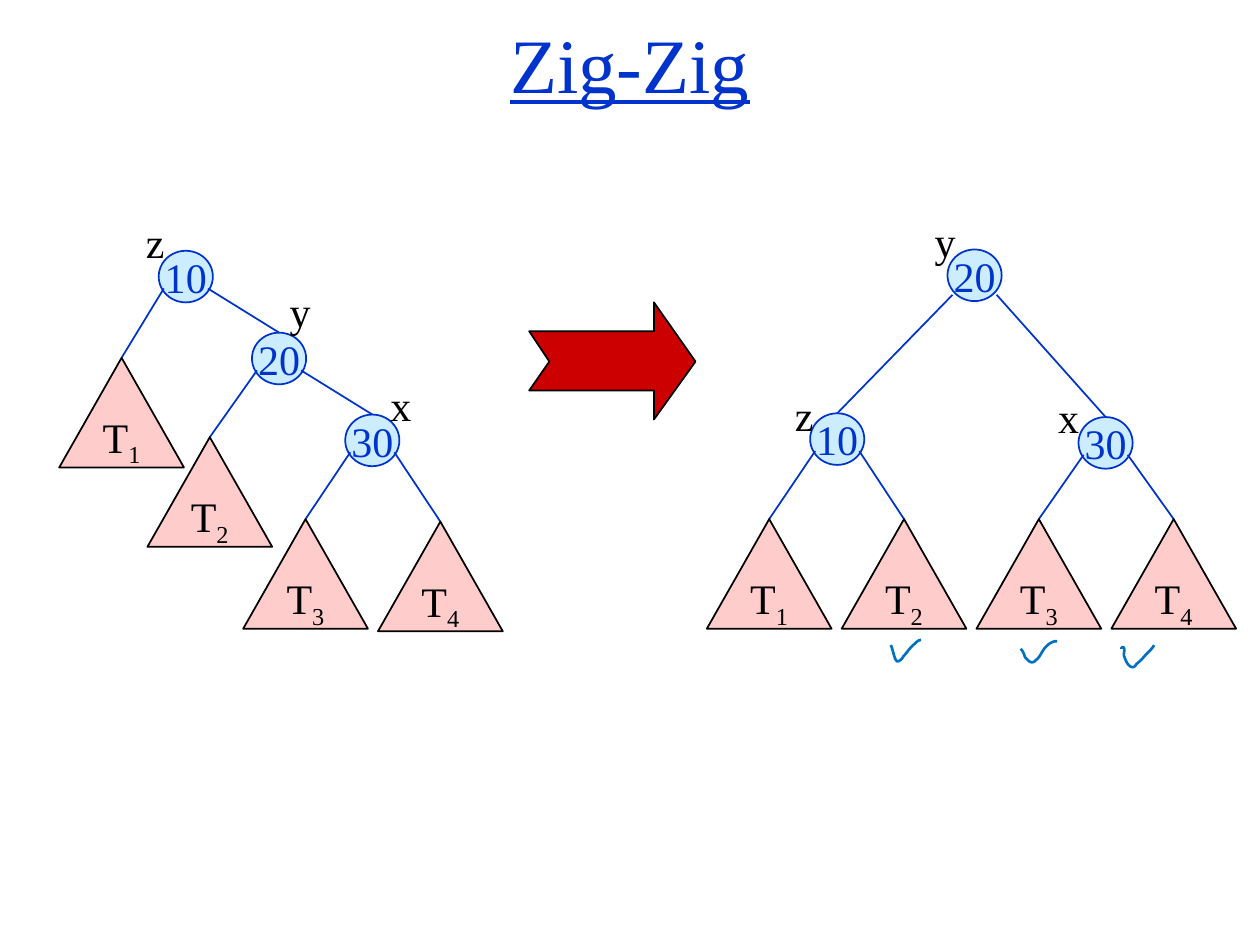
"""Build the Zig-Zig rotation slide with the tree before and after."""
import pptx
import pptx.util
import pptx.dml.color
import pptx.enum.shapes
import pptx.enum.text
import pptx.oxml.ns
import lxml.etree

SHAPES = pptx.enum.shapes.MSO_SHAPE
ANCHOR = pptx.enum.text.MSO_ANCHOR
ALIGN = pptx.enum.text.PP_ALIGN
BLUE, BLACK, SKY, PINK, RED, INK = "0033CC", "000000", "CCECFF", "FFCCCC", "CC0000", "0070C0"
NODE, LEAF, LABEL = (0.43, 0.41), (0.99, 0.87), (0.36, 0.5)
FOOT_INSET, FOOT_DROP, ROOT_DROP = 0.04, 0.3, 0.36
LEAF_STEP, LEAF_ROW = 1.07, 4.12
CHAIN_X, CHAIN_Y, CHAIN_DX, CHAIN_DY = 1.26, 1.99, 0.74, 0.65

TITLE = "Zig-Zig"
BEFORE = {
    "nodes": {
        name: (number, CHAIN_X + level * CHAIN_DX, CHAIN_Y + level * CHAIN_DY, FOOT_DROP)
        for level, (name, number) in enumerate([("z", "10"), ("y", "20"), ("x", "30")])
    },
    "leaves": {"1": (0.47, 2.84), "2": (1.17, 3.47), "3": (1.93, 4.12), "4": (3, 4.14)},
    "children": {"z": "1y", "y": "2x", "x": "34"},
    "labels": {"z": (1.06, 1.67), "y": (2.2, 2.22), "x": (3, 2.96)},
}
AFTER = {
    "nodes": {
        "y": ("20", 7.52, 1.98, ROOT_DROP),
        "z": ("10", 6.43, 3.28, FOOT_DROP),
        "x": ("30", 8.56, 3.31, FOOT_DROP),
    },
    "leaves": {str(i + 1): (5.61 + i * LEAF_STEP, LEAF_ROW) for i in range(4)},
    "children": {"y": "zx", "z": "12", "x": "34"},
    "labels": {"y": (7.32, 1.66), "z": (6.21, 3.04), "x": (8.3, 3.06)},
}
ARROW = [(4.2, 2.63), (5.19, 2.63), (5.19, 2.4), (5.52, 2.87), (5.19, 3.33),
         (5.19, 3.1), (4.2, 3.1), (4.36, 2.87)]
CHECKS = [
    [(7.07, 5.12), (7.08, 5.14), (7.08, 5.15), (7.09, 5.18), (7.1, 5.21), (7.1, 5.23),
     (7.12, 5.25), (7.14, 5.25), (7.16, 5.23), (7.17, 5.21), (7.2, 5.18), (7.22, 5.14),
     (7.26, 5.11), (7.28, 5.09), (7.29, 5.08), (7.31, 5.08)],
    [(8.1, 5.15), (8.11, 5.16), (8.12, 5.17), (8.13, 5.2), (8.13, 5.22), (8.16, 5.24),
     (8.17, 5.25), (8.18, 5.26), (8.21, 5.26), (8.22, 5.24), (8.25, 5.22), (8.26, 5.19),
     (8.28, 5.16), (8.3, 5.13), (8.33, 5.1), (8.37, 5.09), (8.38, 5.09), (8.38, 5.09),
     (8.39, 5.09)],
    [(8.9, 5.15), (8.9, 5.14), (8.91, 5.13), (8.92, 5.14), (8.93, 5.16), (8.92, 5.17),
     (8.92, 5.2), (8.93, 5.23), (8.94, 5.26), (8.96, 5.28), (8.99, 5.31), (9.01, 5.29),
     (9.02, 5.27), (9.06, 5.24), (9.08, 5.21), (9.11, 5.18), (9.14, 5.15), (9.15, 5.14),
     (9.16, 5.12)],
]


def color(value):
    return pptx.dml.color.RGBColor.from_string(value)


def inches(*values):
    return [pptx.util.Inches(value) for value in values]


def set_all(target, formats):
    for name, value in formats.items():
        setattr(target, name, value)


def paint(shape, fill, line, width=1):
    shape.shadow.inherit = False
    if fill:
        shape.fill.solid()
        shape.fill.fore_color.rgb = color(fill)
    else:
        shape.fill.background()
    shape.line.color.rgb = color(line)
    shape.line.width = pptx.util.Pt(width)


def write(shape, text, ink, subscript="", size=24, align=ALIGN.CENTER, underline=None, **frame):
    set_all(shape.text_frame, {"word_wrap": False, "vertical_anchor": ANCHOR.MIDDLE, **frame})
    paragraph = shape.text_frame.paragraphs[0]
    paragraph.alignment = align
    for part in filter(None, (text, subscript)):
        run = paragraph.add_run()
        run.text = part
        set_all(run.font, {"name": "Times New Roman", "size": pptx.util.Pt(size),
                           "underline": underline})
        run.font.color.rgb = color(ink)
    if subscript:
        run.font._element.set("baseline", "-25000")


def add_edge(slide, start, end):
    edge = slide.shapes.add_connector(
        pptx.enum.shapes.MSO_CONNECTOR.STRAIGHT, *inches(*start, *end))
    edge.line.color.rgb = color(BLUE)
    edge.line.width = pptx.util.Pt(1)
    lxml.etree.SubElement(edge._element.spPr, pptx.oxml.ns.qn("a:effectLst"))


def add_outline(slide, points, close, fill, line, width):
    start, *rest = [inches(*point) for point in points]
    builder = slide.shapes.build_freeform(*start)
    builder.add_line_segments(rest, close=close)
    paint(builder.convert_to_shape(), fill, line, width)


def curve_points(controls, steps=6):
    points = [controls[0]]
    for i in range(0, len(controls) - 1, 3):
        for t in (step / steps for step in range(1, steps + 1)):
            weights = ((1 - t) ** 3, 3 * t * (1 - t) ** 2, 3 * t * t * (1 - t), t ** 3)
            points.append(tuple(
                sum(weight * value for weight, value in zip(weights, axis))
                for axis in zip(*controls[i:i + 4])))
    return points


def add_tree(slide, tree):
    tops = {name: (x + LEAF[0] / 2, y) for name, (x, y) in tree["leaves"].items()}
    for name, (number, x, y, _) in tree["nodes"].items():
        tops[name] = (x + NODE[0] / 2, y)
        node = slide.shapes.add_shape(SHAPES.OVAL, *inches(x, y, *NODE))
        paint(node, SKY, BLUE)
        write(node, number, BLUE)
    for name, (_, x, y, drop) in tree["nodes"].items():
        for inset, child in zip((FOOT_INSET, NODE[0] - FOOT_INSET), tree["children"][name]):
            add_edge(slide, (x + inset, y + drop), tops[child])
    for index, position in tree["leaves"].items():
        leaf = slide.shapes.add_shape(SHAPES.ISOSCELES_TRIANGLE, *inches(*position, *LEAF))
        paint(leaf, PINK, BLACK)
        write(leaf, "T", BLACK, subscript=index)
    for name, position in tree["labels"].items():
        label = slide.shapes.add_textbox(*inches(*position, *LABEL))
        write(label, name, BLACK, align=ALIGN.LEFT, vertical_anchor=ANCHOR.TOP,
              auto_size=pptx.enum.text.MSO_AUTO_SIZE.SHAPE_TO_FIT_TEXT)


def main():
    presentation = pptx.Presentation()
    presentation.slide_width, presentation.slide_height = inches(10, 7.5)
    slide = presentation.slides.add_slide(presentation.slide_layouts[5])
    title = slide.shapes.title
    set_all(title, dict(zip(("left", "top", "width", "height"), inches(0, 0, 10, 1))))
    write(title, TITLE, BLUE, size=44, underline=True, word_wrap=True)
    add_tree(slide, AFTER)
    add_outline(slide, ARROW, True, RED, BLACK, 1)
    add_tree(slide, BEFORE)
    for check in CHECKS:
        add_outline(slide, curve_points(check), False, None, INK, 1.5)
    presentation.save("out.pptx")


if __name__ == "__main__":
    main()
